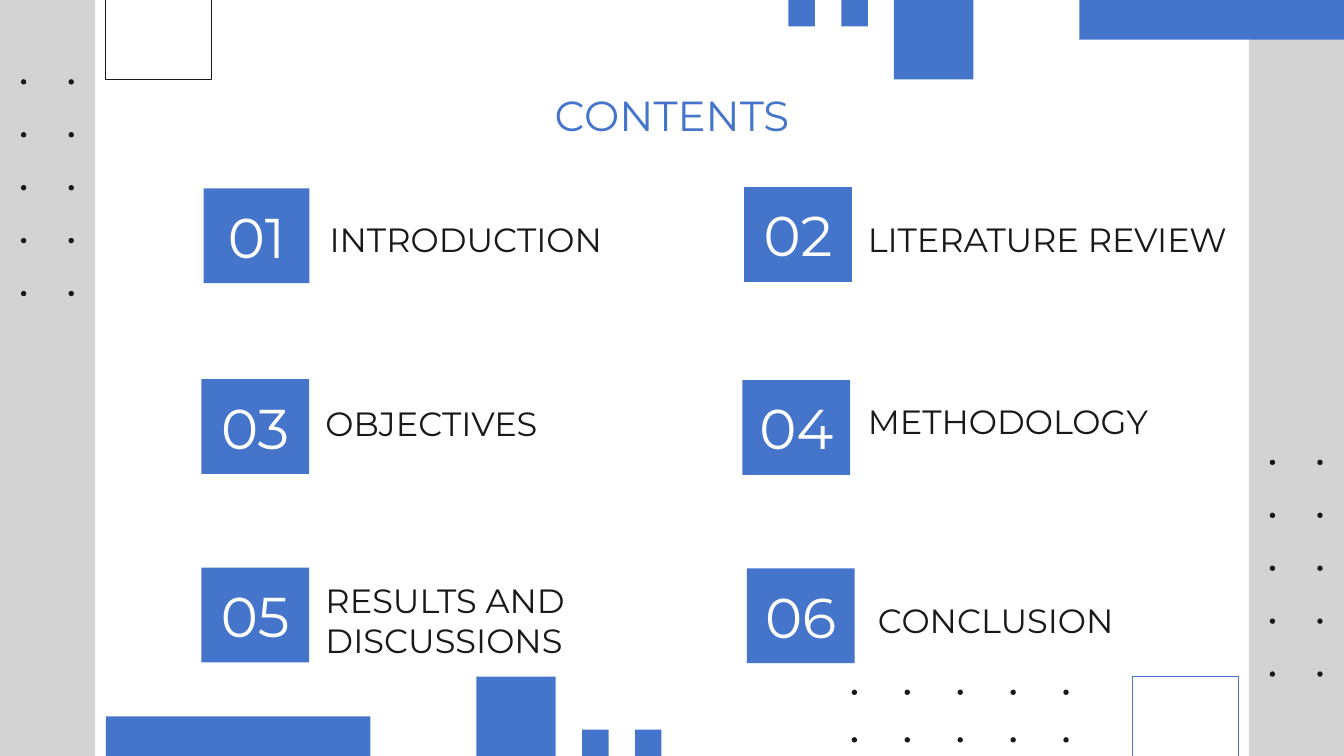
from dataclasses import dataclass
from itertools import product

from pptx import Presentation
from pptx.dml.color import RGBColor
from pptx.enum.shapes import MSO_SHAPE
from pptx.enum.text import MSO_ANCHOR, PP_ALIGN
from pptx.util import Pt


@dataclass(frozen=True)
class Theme:
    blue: RGBColor = RGBColor(0x44, 0x75, 0xCA)
    gray: RGBColor = RGBColor(0xD3, 0xD3, 0xD3)
    ink: RGBColor = RGBColor(0x19, 0x19, 0x19)
    white: RGBColor = RGBColor(0xFF, 0xFF, 0xFF)
    font: str = "Montserrat"
    title: int = 30
    number: int = 40
    label: int = 24
    inset: float = 7.2
    indent: float = 12.2


class Deck:
    def __init__(self, theme):
        self.theme = theme
        self.prs = Presentation()
        self.prs.slide_width, self.prs.slide_height = Pt(960), Pt(540)
        self.slide = self.prs.slides.add_slide(self.prs.slide_layouts[5])
        self.shapes = self.slide.shapes

    def style(self, shape, text, size, color, align, anchor, indent=0):
        frame = shape.text_frame
        frame.text = text
        frame.word_wrap = True
        frame.vertical_anchor = anchor
        frame.margin_top = frame.margin_bottom = Pt(self.theme.inset)
        frame.margin_right = Pt(self.theme.inset)
        frame.margin_left = Pt(self.theme.inset + indent)
        for para in frame.paragraphs:
            para.alignment = align
            for run in para.runs:
                run.font.name = self.theme.font
                run.font.size = Pt(size)
                run.font.color.rgb = color

    def title(self, text, left, top, width, height):
        shape = self.shapes.title
        shape.left, shape.top = Pt(left), Pt(top)
        shape.width, shape.height = Pt(width), Pt(height)
        self.style(shape, text, self.theme.title, self.theme.blue,
                   PP_ALIGN.CENTER, MSO_ANCHOR.TOP)

    def block(self, left, top, width, height, fill, kind=MSO_SHAPE.RECTANGLE, owner=None):
        shape = (owner or self.shapes).add_shape(
            kind, Pt(left), Pt(top), Pt(width), Pt(height))
        shape.shadow.inherit = False
        shape.fill.solid()
        shape.fill.fore_color.rgb = fill
        shape.line.fill.background()
        return shape

    def frame(self, left, top, side, color):
        shape = self.block(left, top, side, side, self.theme.white)
        shape.fill.background()
        shape.line.color.rgb = color
        shape.line.width = Pt(0.75)

    def dots(self, left, top, cols, rows, across, down):
        group = self.shapes.add_group_shape()
        for col, row in product(range(cols), range(rows)):
            self.block(left + col * across, top + row * down, 3.8, 3.8,
                       self.theme.ink, MSO_SHAPE.OVAL, group.shapes)

    def number(self, text, left, top, width):
        shape = self.block(left, top, width, 67.7, self.theme.blue)
        self.style(shape, text, self.theme.number, self.theme.white,
                   PP_ALIGN.CENTER, MSO_ANCHOR.MIDDLE)

    def label(self, text, left, top, width):
        box = self.shapes.add_textbox(Pt(left), Pt(top), Pt(width), Pt(52))
        self.style(box, text, self.theme.label, self.theme.ink,
                   PP_ALIGN.LEFT, MSO_ANCHOR.TOP, self.theme.indent)


BARS = [
    (638.6, 0, 56.7, 56.7), (601, 0, 18.9, 18.9),
    (563.2, 0, 18.9, 18.9), (771, 0, 189, 28.3),
    (340.2, 483.3, 56.7, 56.7), (415.8, 521.1, 18.9, 18.9),
    (453.6, 521.1, 18.9, 18.9), (75.6, 511.7, 189, 28.3),
]

TOPICS = [
    ("INTRODUCTION", (145.4, 134.6, 75.6), (216, 149, 250)),
    ("LITERATURE REVIEW", (531.5, 133.7, 77), (600.5, 149, 324)),
    ("OBJECTIVES", (143.8, 270.9, 77), (213.1, 280.8, 329)),
    ("METHODOLOGY", (530.4, 271.6, 77), (600.5, 279.4, 236)),
    ("RESULTS AND\nDISCUSSIONS", (143.8, 405.4, 77), (213.1, 406.8, 347)),
    ("CONCLUSION", (533.5, 406.1, 77), (607.7, 421.2, 246)),
]


def main():
    theme = Theme()
    deck = Deck(theme)
    for left in (0, 892):
        deck.block(left, 0, 68, 540, theme.gray)
    for bar in BARS:
        deck.block(*bar, theme.blue)
    deck.frame(808.8, 483.3, 75.6, theme.blue)
    deck.frame(75.6, -18.9, 75.6, theme.ink)
    deck.dots(15, 56.6, 2, 5, 34, 37.8)
    deck.dots(907, 328.4, 2, 5, 34, 37.8)
    deck.dots(608.4, 492.6, 5, 2, 37.8, 34)
    deck.title("CONTENTS", 75.6, 56.7, 808.8, 67.7)
    for index, (text, tile, place) in enumerate(TOPICS, 1):
        deck.number(f"{index:02}", *tile)
        deck.label(text, *place)
    deck.prs.save("out.pptx")


if __name__ == "__main__":
    main()
